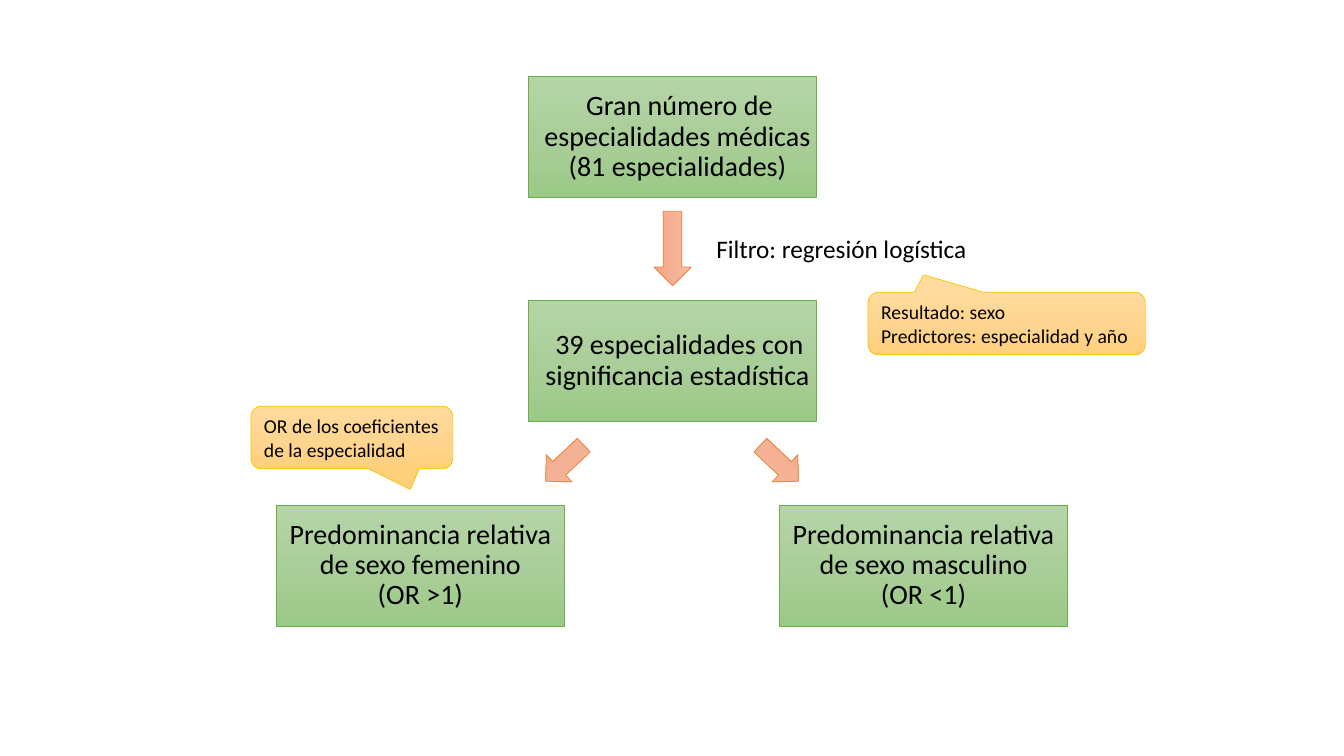
from copy import deepcopy

from lxml.etree import SubElement
from pptx import Presentation
from pptx.dml.color import RGBColor
from pptx.enum.shapes import MSO_SHAPE
from pptx.enum.text import MSO_ANCHOR, MSO_AUTO_SIZE, PP_ALIGN
from pptx.oxml.ns import qn
from pptx.util import Inches, Pt

BLACK = RGBColor(0x00, 0x00, 0x00)
BULLET_BLUE = RGBColor(0x5B, 0x9B, 0xD5)
GREEN_LINE = RGBColor(0x70, 0xAD, 0x47)
GREENS = (RGBColor(0xB5, 0xD5, 0xA7), RGBColor(0xAA, 0xCE, 0x9A), RGBColor(0x9C, 0xC9, 0x87))
ORANGE_LINE = RGBColor(0xED, 0x7D, 0x31)
ORANGES = (RGBColor(0xF7, 0xBD, 0xA5), RGBColor(0xF5, 0xB1, 0x96), RGBColor(0xF8, 0xA5, 0x82))
YELLOW_LINE = RGBColor(0xFF, 0xC0, 0x00)
YELLOWS = (RGBColor(0xFF, 0xDB, 0x9E), RGBColor(0xFF, 0xD5, 0x90), RGBColor(0xFF, 0xD0, 0x7C))

BOX_WIDTH, BOX_HEIGHT = 2.86, 1.2
CENTER_LEFT, FEMALE_LEFT, MALE_LEFT = 5.24, 2.74, 7.73
BOX_FORMAT = {
    "alignment": PP_ALIGN.CENTER,
    "line_spacing": 0.9,
    "space_before": Pt(12),
    "space_after": Pt(2),
}


def set_attributes(target, values):
    for name, value in values.items():
        setattr(target, name, value)


def write_paragraphs(text_frame, texts, size, paragraph_format):
    text_frame.word_wrap = True
    for index, text in enumerate(texts):
        paragraph = text_frame.add_paragraph() if index else text_frame.paragraphs[0]
        paragraph.text = text
        set_attributes(paragraph, paragraph_format)
        for run in paragraph.runs:
            set_attributes(run.font, {"name": "Calibri", "size": Pt(size)})
            run.font.color.rgb = BLACK


def fill_gradient(shape, colors):
    shape.fill.gradient()
    shape.fill.gradient_angle = 270
    stop_list = shape._element.spPr.find(qn("a:gradFill")).find(qn("a:gsLst"))
    middle = deepcopy(stop_list[0])
    middle.set("pos", "50000")
    stop_list.insert(1, middle)
    for stop, color in zip(shape.fill.gradient_stops, colors):
        stop.color.rgb = color


def add_gradient_shape(slide, kind, position, colors, line_color):
    shape = slide.shapes.add_shape(kind, *map(Inches, position))
    shape.shadow.inherit = False
    fill_gradient(shape, colors)
    shape.line.color.rgb = line_color
    shape.line.width = Pt(0.5)
    return shape


def add_blank_bullet(paragraph):
    properties = paragraph._p.get_or_add_pPr()
    properties.set("marL", str(Inches(0.1)))
    properties.set("indent", str(Inches(-0.1)))
    color = SubElement(properties, qn("a:buClr"))
    SubElement(color, qn("a:srgbClr"), val=str(BULLET_BLUE))
    SubElement(properties, qn("a:buChar"), char=" ")


def add_box(slide, left, top, text, bulleted=False):
    position = (left, top, BOX_WIDTH, BOX_HEIGHT)
    box = add_gradient_shape(slide, MSO_SHAPE.RECTANGLE, position, GREENS, GREEN_LINE)
    text_frame = box.text_frame
    set_attributes(text_frame, {
        "margin_left": 0,
        "margin_right": 0,
        "vertical_anchor": MSO_ANCHOR.MIDDLE,
    })
    write_paragraphs(text_frame, [text], 20, BOX_FORMAT)
    if bulleted:
        add_blank_bullet(text_frame.paragraphs[0])


def add_arrow(slide, left, top, width, rotation, flipped=False):
    position = (left, top, width, 0.37)
    arrow = add_gradient_shape(slide, MSO_SHAPE.RIGHT_ARROW, position, ORANGES, ORANGE_LINE)
    arrow.rotation = rotation
    if flipped:
        arrow._element.spPr.xfrm.set("flipH", "1")


def add_callout(slide, left, top, width, tip, texts):
    callout = add_gradient_shape(
        slide, MSO_SHAPE.ROUNDED_RECTANGULAR_CALLOUT, (left, top, width, 0.62), YELLOWS, YELLOW_LINE
    )
    for index, value in enumerate(tip):
        callout.adjustments[index] = value
    callout.text_frame.vertical_anchor = MSO_ANCHOR.MIDDLE
    write_paragraphs(callout.text_frame, texts, 14, {"alignment": PP_ALIGN.LEFT})


def add_label(slide, left, top, width, height, text):
    label = slide.shapes.add_textbox(*map(Inches, (left, top, width, height)))
    write_paragraphs(label.text_frame, [text], 18, {"alignment": PP_ALIGN.CENTER})
    label.text_frame.auto_size = MSO_AUTO_SIZE.SHAPE_TO_FIT_TEXT


def main():
    presentation = Presentation()
    presentation.slide_width = Inches(13.33)
    presentation.slide_height = Inches(7.5)
    slide = presentation.slides.add_slide(presentation.slide_layouts[6])

    add_box(slide, CENTER_LEFT, 0.76,
            "Gran número de especialidades médicas\n(81 especialidades)", bulleted=True)
    add_arrow(slide, 6.3, 2.28, 0.74, 90)
    add_box(slide, CENTER_LEFT, 2.98,
            "39 especialidades con significancia estadística", bulleted=True)
    add_label(slide, 6.97, 2.27, 2.75, 0.4, "Filtro: regresión logística")
    add_callout(slide, 8.61, 2.9, 2.75, (-0.3, -0.78),
                ["Resultado: sexo", "Predictores: especialidad y año"])
    add_box(slide, FEMALE_LEFT, 5.01, "Predominancia relativa de sexo femenino\n(OR >1)")
    add_box(slide, MALE_LEFT, 5.01, "Predominancia relativa de sexo masculino\n(OR <1)")
    add_arrow(slide, 5.34, 4.41, 0.52, 136.6)
    add_arrow(slide, 7.47, 4.41, 0.52, 223.4, flipped=True)
    add_callout(slide, 2.49, 4.03, 2, (0.29, 0.83),
                ["OR de los coeficientes de la especialidad"])

    presentation.save("out.pptx")


if __name__ == "__main__":
    main()
